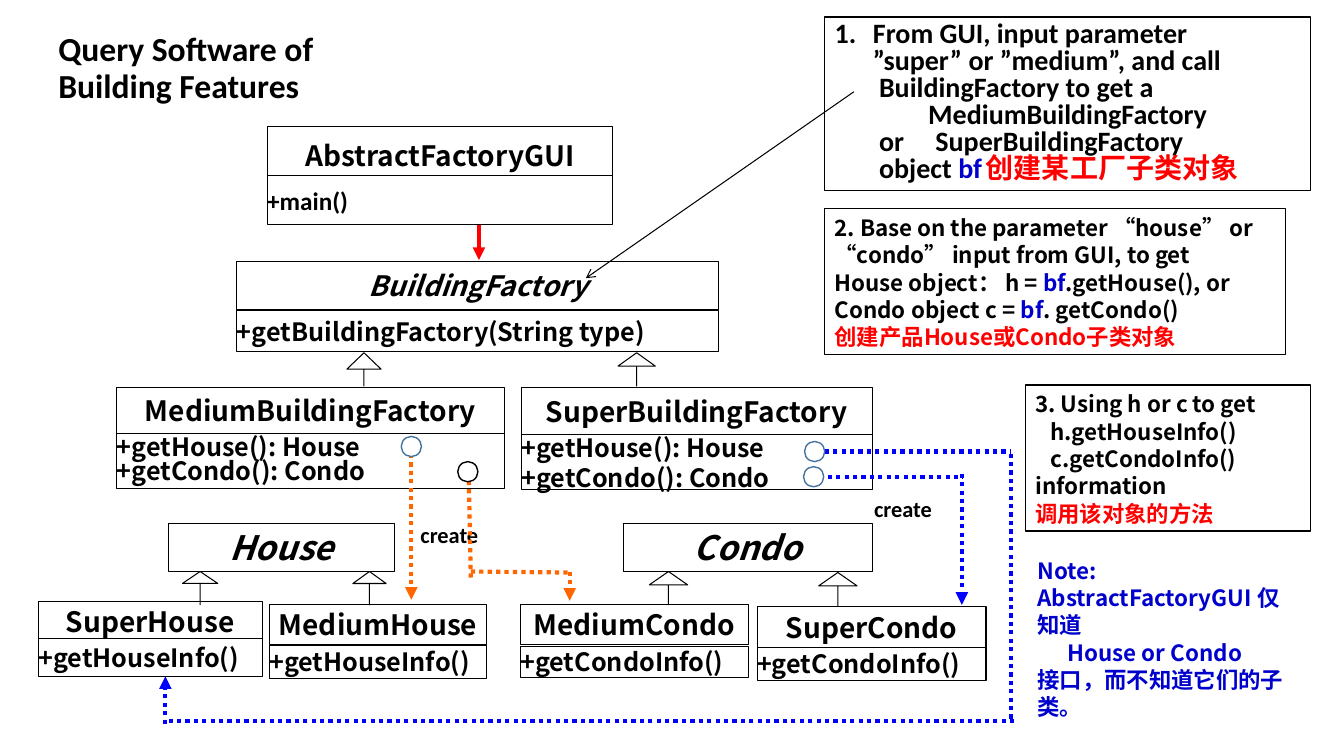
from lxml import etree
from pptx import Presentation
from pptx.dml.color import RGBColor
from pptx.enum.dml import MSO_LINE
from pptx.enum.shapes import MSO_CONNECTOR, MSO_SHAPE
from pptx.enum.text import MSO_ANCHOR as ANCHOR, PP_ALIGN as ALIGN
from pptx.oxml.ns import qn
from pptx.util import Inches, Pt

BLACK = RGBColor(0, 0, 0)
WHITE = RGBColor(255, 255, 255)
RED = RGBColor(255, 0, 0)
ORANGE = RGBColor(0xFF, 0x66, 0)
BLUE = RGBColor(0, 0, 255)
NAVY = RGBColor(0, 0, 0xCC)
STEEL = RGBColor(0x43, 0x73, 0x9E)
SANS = "Noto Sans CJK SC"
CALIBRI = "Calibri"

presentation = Presentation()
presentation.slide_width = Inches(13.33)
presentation.slide_height = Inches(7.5)
slide = presentation.slides.add_slide(presentation.slide_layouts[6])


def add_box(area, lines, size, font=SANS, italic=False, align=ALIGN.LEFT,
            spacing=None, outline=0.75, anchor=ANCHOR.MIDDLE, margins=(0, 0, 0, 0)):
    box = slide.shapes.add_shape(MSO_SHAPE.RECTANGLE, *map(Inches, area))
    box.shadow.inherit = False
    box.fill.solid()
    box.fill.fore_color.rgb = WHITE
    if outline:
        box.line.color.rgb = BLACK
        box.line.width = Pt(outline)
    else:
        box.line.fill.background()
    frame = box.text_frame
    frame.word_wrap = True
    frame.vertical_anchor = anchor
    (frame.margin_left, frame.margin_top,
     frame.margin_right, frame.margin_bottom) = map(Inches, margins)
    for number, (indent, tab, runs) in enumerate(lines):
        paragraph = frame.add_paragraph() if number else frame.paragraphs[0]
        paragraph.alignment = align
        paragraph.line_spacing = spacing
        paragraph.font.name = font
        paragraph.font.size = Pt(size)
        paragraph.font.bold = True
        paragraph.font.italic = italic
        properties = paragraph._p.get_or_add_pPr()
        properties.set("indent", str(Inches(indent)))
        defaults = properties.find(qn("a:defRPr"))
        etree.SubElement(defaults, qn("a:ea")).set("typeface", font)
        if tab:
            tabs = etree.Element(qn("a:tabLst"))
            etree.SubElement(tabs, qn("a:tab"), pos=str(Inches(tab)), algn="l")
            defaults.addprevious(tabs)
        for text, color in runs:
            run = paragraph.add_run()
            run.text = text
            run.font.color.rgb = color
    return box


def add_line(start, end, color, width=3, dotted=True, head=None):
    line = slide.shapes.add_connector(
        MSO_CONNECTOR.STRAIGHT, *map(Inches, (*start, *end)))
    line.line.color.rgb = color
    line.line.width = Pt(width)
    if dotted:
        line.line.dash_style = MSO_LINE.ROUND_DOT
    properties = line._element.spPr
    if head:
        etree.SubElement(properties.find(qn("a:ln")), qn("a:tailEnd"), type=head)
    etree.SubElement(properties, qn("a:effectLst"))


add_box((0.48, 0.22, 3.39, 0.93),
        [(0, None, [("Query Software of Building Features", BLACK)])],
        24, CALIBRI, spacing=0.9, outline=0, margins=(0.1, 0.05, 0.1, 0.05))

for left, top, width in ((4.17, 5.17, 0.92), (8.67, 4.91, 0.83)):
    add_box((left, top, width, 0.27), [(0, None, [("create", BLACK)])],
            16, CALIBRI, outline=0, anchor=ANCHOR.TOP)

factory_methods = ["+getHouse(): House", "+getCondo(): Condo"]
house_methods = ["+getHouseInfo()"]
condo_methods = ["+getCondoInfo()"]
classes = [
    ("AbstractFactoryGUI", 2.65, 1.26, 3.43, 0.56, 20, False,
     ["+main()"], 1.74, 0.49, CALIBRI, None),
    ("BuildingFactory", 2.35, 2.59, 4.78, 0.48, 20, True,
     ["+getBuildingFactory(String type)"], 3.08, 0.41, SANS, None),
    ("MediumBuildingFactory", 1.16, 3.84, 3.84, 0.47, 20, False,
     factory_methods, 4.3, 0.55, SANS, Pt(17.5)),
    ("SuperBuildingFactory", 5.17, 3.84, 3.48, 0.48, 20, False,
     factory_methods, 4.31, 0.55, SANS, Pt(22)),
    ("House", 1.67, 5.19, 2.24, 0.48, 24, True, [], 0, 0, SANS, None),
    ("Condo", 6.18, 5.19, 2.47, 0.48, 24, True, [], 0, 0, SANS, None),
    ("SuperHouse", 0.38, 5.97, 2.22, 0.38, 20, False,
     house_methods, 6.33, 0.38, SANS, None),
    ("MediumHouse", 2.67, 6, 2.16, 0.39, 20, False,
     house_methods, 6.4, 0.33, SANS, None),
    ("MediumCondo", 5.16, 6, 2.26, 0.39, 20, False,
     condo_methods, 6.41, 0.31, SANS, None),
    ("SuperCondo", 7.51, 6.02, 2.27, 0.41, 20, False,
     condo_methods, 6.42, 0.33, SANS, None),
]
for (name, left, top, width, height, size, italic,
     methods, methods_top, methods_height, font, spacing) in classes:
    add_box((left, top, width, height), [(0, None, [(name, BLACK)])],
            size, italic=italic, align=ALIGN.CENTER)
    if methods:
        add_box((left, methods_top, width, methods_height),
                [(0, None, [(method, BLACK)]) for method in methods],
                18, font, spacing=spacing)

for left, top, width, head_ratio in (
        (3.44, 3.5, 0.34, 0.495), (6.13, 3.5, 0.37, 0.401),
        (1.81, 5.67, 0.35, 0.359), (3.5, 5.67, 0.33, 0.361),
        (6.44, 5.67, 0.38, 0.401), (8.12, 5.68, 0.38, 0.401)):
    arrow = slide.shapes.add_shape(
        MSO_SHAPE.UP_ARROW, *map(Inches, (left, top, width, 0.33)))
    arrow.shadow.inherit = False
    arrow.adjustments[0] = 0
    arrow.adjustments[1] = head_ratio
    arrow.fill.solid()
    arrow.fill.fore_color.rgb = WHITE
    arrow.line.color.rgb = BLACK
    arrow.line.width = Pt(0.75)

add_line((4.75, 2.23), (4.75, 2.58), RED, dotted=False, head="triangle")
for start, end, color, head in (
        ((4.08, 4.42), (4.08, 5.95), ORANGE, "triangle"),
        ((4.65, 4.77), (4.67, 5.74), ORANGE, None),
        ((4.67, 5.67), (5.64, 5.68), ORANGE, None),
        ((5.65, 5.67), (5.65, 5.96), ORANGE, "triangle"),
        ((8.21, 4.73), (9.55, 4.73), BLUE, None),
        ((9.54, 4.7), (9.54, 6), BLUE, "triangle"),
        ((8.18, 4.48), (10.03, 4.48), BLUE, None),
        ((10.03, 4.5), (10.03, 7.14), BLUE, None),
        ((10.06, 7.15), (1.64, 7.15), BLUE, None),
        ((1.64, 7.18), (1.64, 6.71), BLUE, "triangle")):
    add_line(start, end, color, head=head)

for left, top, color in ((4.54, 4.58, BLACK), (3.98, 4.33, STEEL),
                         (7.98, 4.38, STEEL), (7.97, 4.63, STEEL)):
    circle = slide.shapes.add_shape(
        MSO_SHAPE.OVAL, *map(Inches, (left, top, 0.2, 0.2)))
    circle.shadow.inherit = False
    circle.fill.solid()
    circle.fill.fore_color.rgb = WHITE
    circle.line.color.rgb = color
    circle.line.width = Pt(1)

input_step = [
    (-0.38, None, [("From GUI, input parameter", BLACK)]),
    (0.38, None, [("”super” or ”medium”, and call", BLACK)]),
    (0.44, None, [("BuildingFactory to get a", BLACK)]),
    (0, None, [("MediumBuildingFactory", BLACK)]),
    (0.44, 1.07, [("or\tSuperBuildingFactory", BLACK)]),
    (0.44, 1.67, [("object ", BLACK), ("bf\t", NAVY), ("创建某工厂子类对象", RED)]),
]
product_step = [
    (0, None, [("2. Base on the parameter “house” or “condo” input from GUI, to get", BLACK)]),
    (0, None, [("House object： h = ", BLACK), ("bf", NAVY), (".getHouse(), or", BLACK)]),
    (0, 1.65, [("Condo object\tc = ", BLACK), ("bf", NAVY), (". getCondo()", BLACK)]),
    (0, None, [("创建产品House或Condo子类对象", RED)]),
]
call_step = [
    (0, None, [("3. Using h or c to get", BLACK)]),
    (0.15, None, [("h.getHouseInfo()", BLACK)]),
    (0.15, None, [("c.getCondoInfo()", BLACK)]),
    (0, None, [("information", BLACK)]),
    (0, None, [("调用该对象的方法", RED)]),
]
interface_note = [
    (0, None, [("Note: AbstractFactoryGUI 仅知道", NAVY)]),
    (0.3, None, [("House or Condo", NAVY)]),
    (0, None, [("接口，而不知道它们的子类。", NAVY)]),
]
framed = (0.1, 0.05, 0.1, 0.05)
input_box = add_box((8.18, 0.17, 4.82, 1.72), input_step, 20, CALIBRI,
                    spacing=0.8, outline=1, anchor=ANCHOR.TOP, margins=framed)
for area, lines, outline, margins in (
        ((8.18, 2.07, 4.57, 1.45), product_step, 1, framed),
        ((10.17, 3.82, 2.83, 1.45), call_step, 1, framed),
        ((10.29, 5.52, 2.56, 1.67), interface_note, 0, (0, 0, 0.1, 0.05))):
    add_box(area, lines, 16, spacing=Pt(19.5), outline=outline,
            anchor=ANCHOR.TOP, margins=margins)

input_paragraphs = input_box.text_frame.paragraphs
input_paragraphs[3].alignment = ALIGN.CENTER
numbered = input_paragraphs[0]._p.pPr
numbered.set("marL", str(Inches(0.38)))
numbering = etree.Element(qn("a:buAutoNum"), type="arabicPeriod")
numbered.find(qn("a:defRPr")).addprevious(numbering)

add_line((8.47, 0.91), (5.81, 2.76), BLACK, 0.75, dotted=False, head="arrow")

presentation.save("out.pptx")
